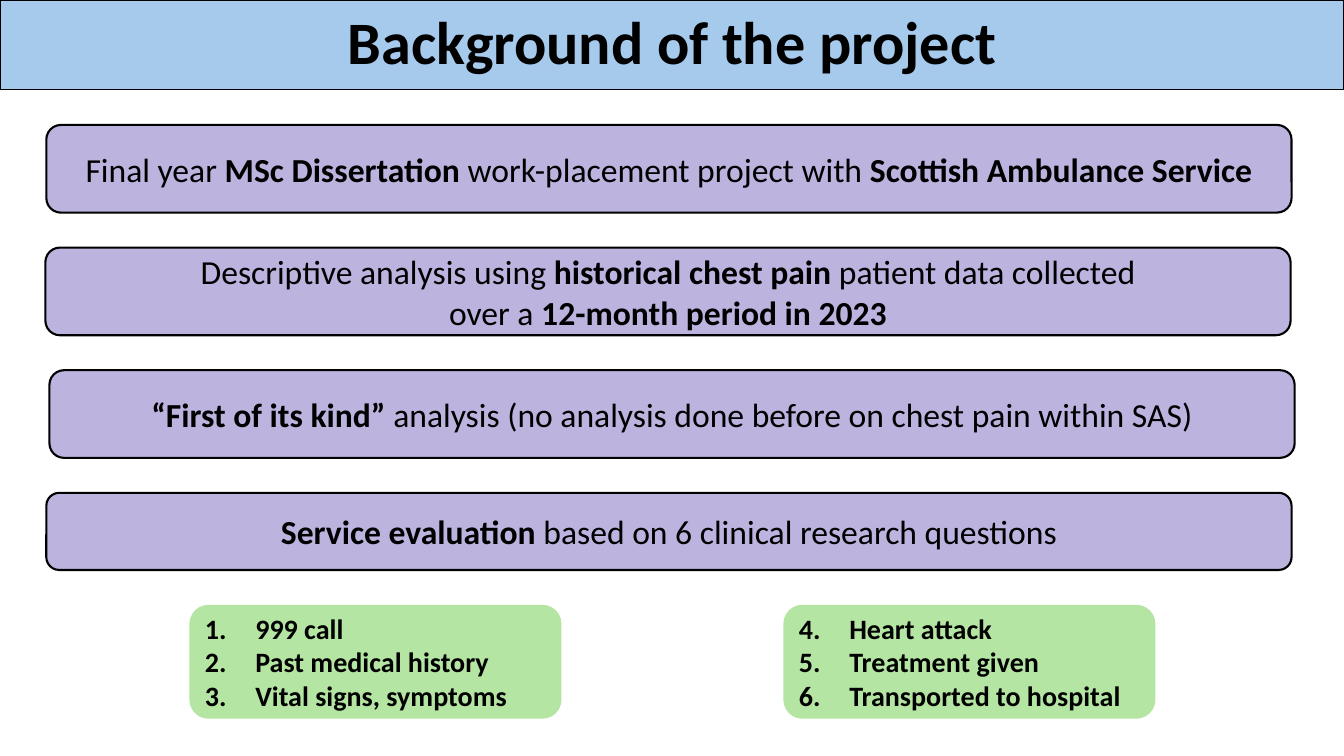
from lxml import etree
from pptx import Presentation
from pptx.dml.color import RGBColor
from pptx.enum.shapes import MSO_SHAPE
from pptx.enum.text import MSO_ANCHOR, MSO_AUTO_SIZE, PP_ALIGN
from pptx.oxml.ns import qn
from pptx.util import Inches, Pt

ROUNDED = MSO_SHAPE.ROUNDED_RECTANGLE
MIDDLE = MSO_ANCHOR.MIDDLE
NO_AUTOFIT = MSO_AUTO_SIZE.NONE
LEFT, CENTER = PP_ALIGN.LEFT, PP_ALIGN.CENTER
TITLE_ONLY = 5

# Each statement: left edge, height, lines (** marks bold)
STATEMENTS = [
    (3.45, 11.6, ["Final year **MSc Dissertation **work-placement project with "
                  "**Scottish Ambulance Service**"]),
    (3.38, 11.6, ["Descriptive analysis using **historical chest pain **patient data collected",
                  "over a **12-month period in 2023**"]),
    (3.68, 11.6, ["**“First of its kind” **analysis (no analysis done before on chest pain "
                  "within SAS)"]),
    (3.45, 10.2, ["**Service evaluation **based on 6 clinical research questions"]),
]
STATEMENT_TOP, STATEMENT_PITCH, STATEMENT_WIDTH = 16.53, 16.22, 92.65

QUESTIONS = [
    (14.1, 1, ["999 call", "Past medical history", "Vital signs, symptoms"]),
    (58.29, 4, ["Heart attack", "Treatment given", "Transported to hospital"]),
]


def color(hex_string):
    return RGBColor.from_string(hex_string)


class SlideBuilder:
    """Places styled elements on a grid of 100 columns by 100 rows."""

    font = "Calibri"
    ink, banner, lilac, green = "000000", "A6CAEC", "BCB3DF", "B4E5A2"

    def __init__(self, presentation):
        self.column = presentation.slide_width / 100
        self.row = presentation.slide_height / 100
        self.slide = presentation.slides.add_slide(presentation.slide_layouts[TITLE_ONLY])

    def place(self, left, top, width, height):
        return (round(left * self.column), round(top * self.row),
                round(width * self.column), round(height * self.row))

    def paint(self, shape, fill, line_width=None):
        shape.fill.solid()
        shape.fill.fore_color.rgb = color(fill)
        if line_width is None:
            shape.line.fill.background()
        else:
            shape.line.color.rgb = color(self.ink)
            shape.line.width = Pt(line_width)
        shape.text_frame.vertical_anchor = MIDDLE
        shape.text_frame.word_wrap = True

    def style(self, paragraph, size, alignment, bold=None):
        paragraph.alignment = alignment
        for run in paragraph.runs:
            run.font.name = self.font
            run.font.size = Pt(size)
            run.font.color.rgb = color(self.ink)
            if bold is not None:
                run.font.bold = bold

    def title(self, text, height):
        title = self.slide.shapes.title
        title.left, title.top, title.width, title.height = self.place(0, 0, 100, height)
        title.text_frame.text = text
        title.text_frame.auto_size = NO_AUTOFIT
        self.paint(title, self.banner, 0.75)
        paragraph = title.text_frame.paragraphs[0]
        paragraph.line_spacing = 0.9
        self.style(paragraph, 43, CENTER, bold=True)

    def rounded_box(self, place, fill, line_width=None):
        box = self.slide.shapes.add_shape(ROUNDED, *self.place(*place))
        box.shadow.inherit = False
        self.paint(box, fill, line_width)
        return box

    def statement(self, place, lines):
        frame = self.rounded_box(place, self.lilac, 1.5).text_frame
        frame.text = "\n".join(lines)
        for paragraph, line in zip(frame.paragraphs, lines):
            paragraph.clear()
            for index, part in enumerate(line.split("**")):
                if part:
                    run = paragraph.add_run()
                    run.text = part
                    run.font.bold = index % 2 == 1
            self.style(paragraph, 24, CENTER)

    def numbered_list(self, place, start, items):
        frame = self.rounded_box(place, self.green).text_frame
        frame.text = "\n".join(items)
        for paragraph in frame.paragraphs:
            self.number(paragraph, start)
            self.style(paragraph, 20, LEFT, bold=True)

    @staticmethod
    def number(paragraph, start):
        """Give the paragraph a hanging automatic number."""
        properties = paragraph._p.get_or_add_pPr()
        properties.set("marL", str(Inches(0.5)))
        properties.set("indent", str(-Inches(0.5)))
        numbering = etree.SubElement(properties, qn("a:buAutoNum"))
        numbering.set("type", "arabicPeriod")
        numbering.set("startAt", str(start))


def main():
    presentation = Presentation()
    presentation.slide_width, presentation.slide_height = Inches(13.33), Inches(7.5)
    builder = SlideBuilder(presentation)
    builder.title("Background of the project", 11.87)
    for index, (left, height, lines) in enumerate(STATEMENTS):
        top = STATEMENT_TOP + index * STATEMENT_PITCH
        builder.statement((left, top, STATEMENT_WIDTH, height), lines)
    for left, start, items in QUESTIONS:
        builder.numbered_list((left, 80, 27.68, 15.07), start, items)
    presentation.save("out.pptx")


if __name__ == "__main__":
    main()
